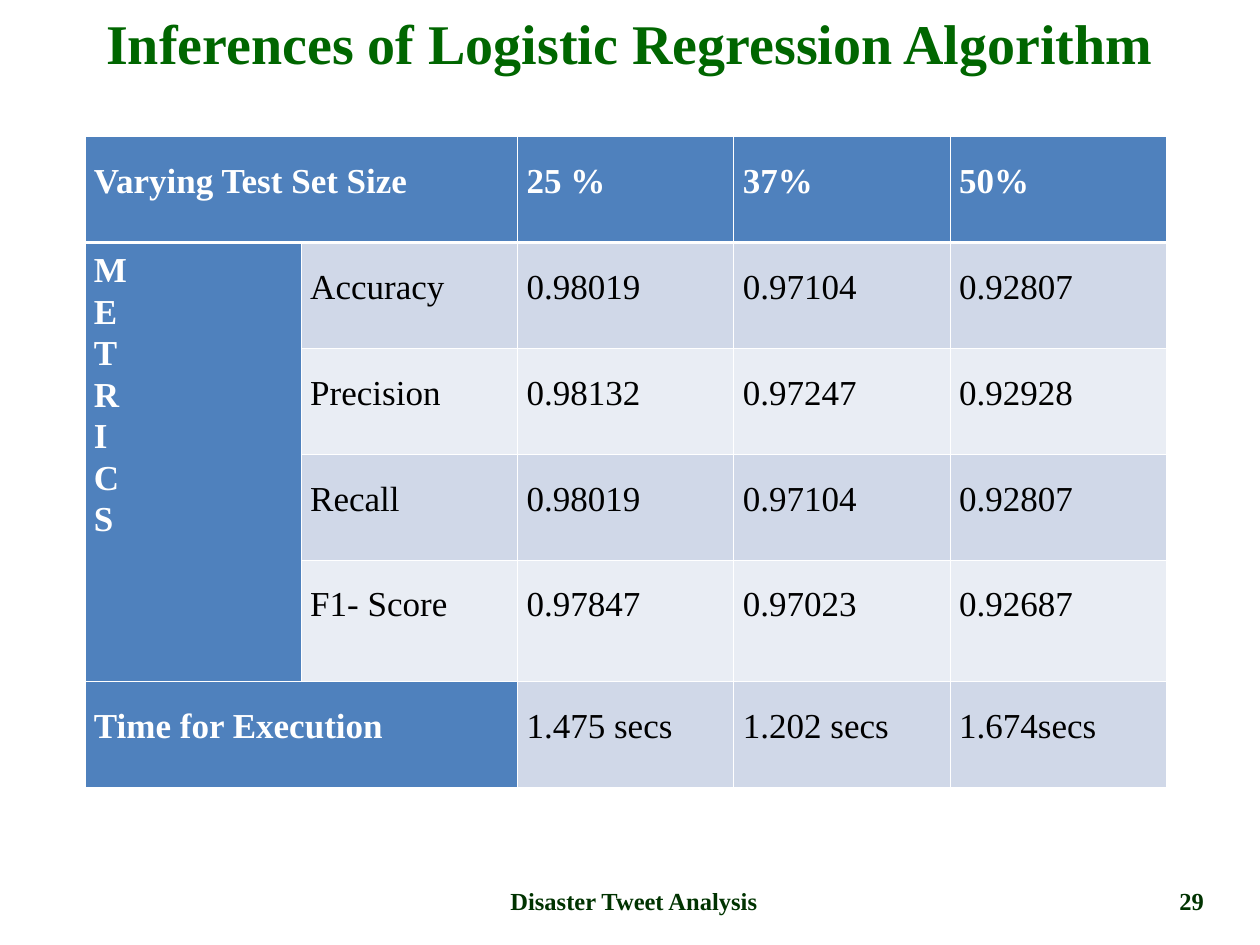
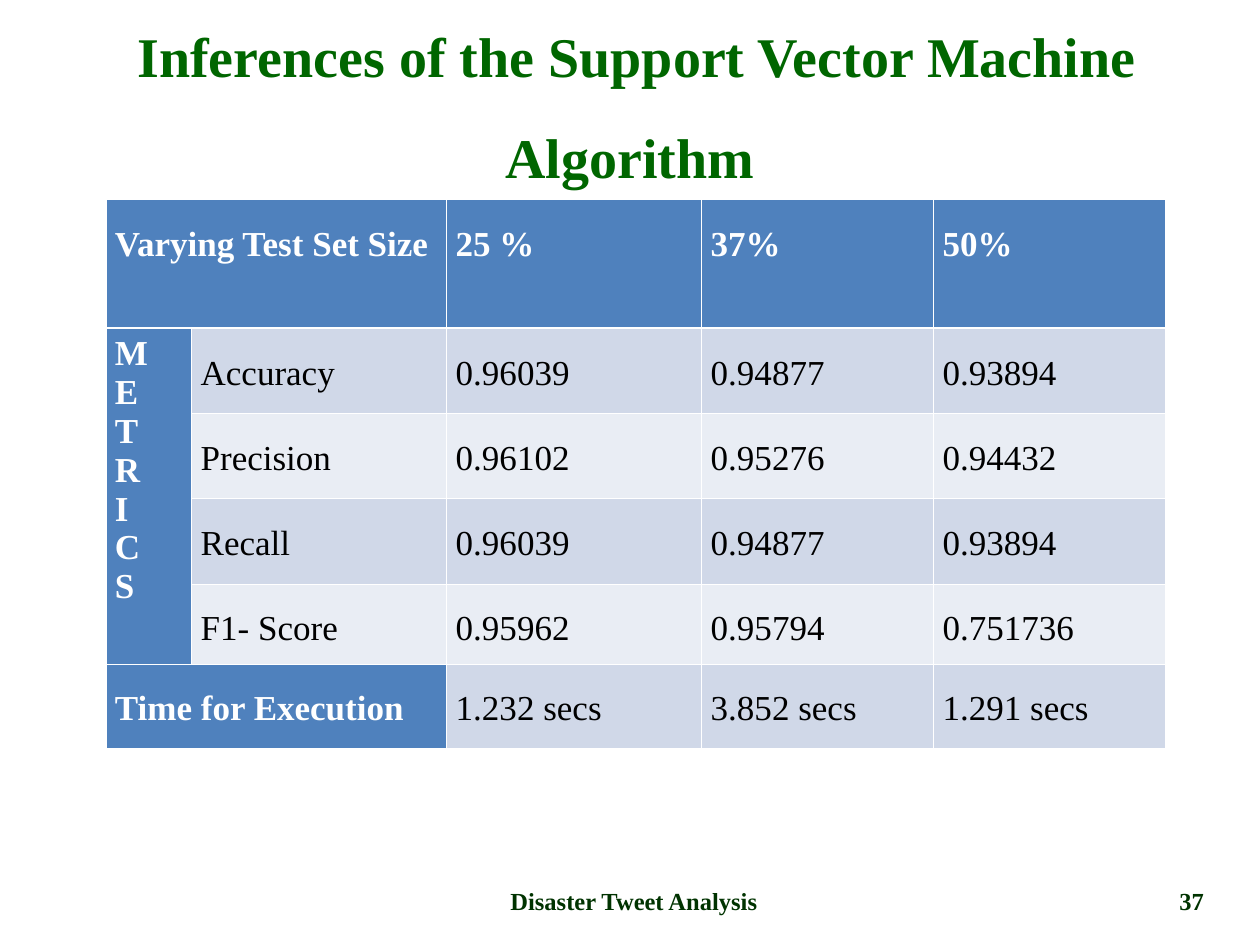
from lxml import etree
from pptx import Presentation
from pptx.dml.color import RGBColor
from pptx.enum.text import MSO_ANCHOR, PP_ALIGN
from pptx.oxml.ns import qn
from pptx.util import Pt

LEFT, CENTER = PP_ALIGN.LEFT, PP_ALIGN.CENTER
MIDDLE = MSO_ANCHOR.MIDDLE

FONT = "Times New Roman"
GREEN, DARK = "006600", "003300"
WHITE, BLACK = "FFFFFF", "000000"
BLUE, BAND, PALE = "4F81BD", "D0D8E8", "E9EDF4"
THIN, THICK = 0.45, 1.47
WIDTH, HEIGHT = 720, 540

HEAD = ["Varying Test Set Size", "", "25 %", "37%", "50%"]
LABELS = ["Accuracy", "Precision", "Recall", "F1- Score"]
SIDE = "\n".join("METRICS")
FOOT = "Time for Execution"


def color(code):
    return RGBColor.from_string(code)


def put(frame, text, size=20, ink=BLACK, bold=False, align=LEFT,
        space=None, after=None):
    """Write one paragraph for each line of the text."""
    for i, line in enumerate(text.split("\n")):
        para = frame.paragraphs[0] if i == 0 else frame.add_paragraph()
        para.alignment = align
        if space is not None:
            para.line_spacing = space
        if after is not None:
            para.space_after = Pt(after)
        run = para.add_run()
        run.text = line
        font = run.font
        font.name, font.size, font.bold = FONT, Pt(size), bold
        font.color.rgb = color(ink)


def add_label(slide, box, text, pad=(0, 0), **style):
    frame = slide.shapes.add_textbox(*map(Pt, box)).text_frame
    frame.word_wrap = True
    frame.vertical_anchor = MIDDLE
    frame.margin_left = frame.margin_right = Pt(pad[0])
    frame.margin_top = frame.margin_bottom = Pt(pad[1])
    put(frame, text, align=CENTER, **style)


def add_title(slide, text, height, **style):
    add_label(slide, (0, 0, WIDTH, height), text,
              size=32, ink=GREEN, bold=True, **style)


def add_footer(slide, number):
    for left, width, text in ((91.5, 541.5, "Disaster Tweet Analysis"),
                              (648, 66, number)):
        add_label(slide, (left, 500.5, width, 28.5), text, pad=(7.2, 3.6),
                  size=14, ink=DARK, bold=True)


def add_edges(cell, **widths):
    props = cell._tc.get_or_add_tcPr()
    for side in "LRTB":
        line = etree.SubElement(props, qn(f"a:ln{side}"),
                                w=str(Pt(widths.get(side, THIN))))
        fill = etree.SubElement(line, qn("a:solidFill"))
        etree.SubElement(fill, qn("a:srgbClr"), val=WHITE)


def add_scores(slide, left, top, cols, rows, scores, times, lead):
    """Table of scores by test set size; lead is the side label's spacing."""
    grid = [HEAD]
    grid += [[SIDE if i == 0 else "", name, *vals]
             for i, (name, vals) in enumerate(zip(LABELS, scores))]
    grid.append([FOOT, "", *times])
    last = len(grid) - 1

    box = map(Pt, (left, top, sum(cols), sum(rows)))
    table = slide.shapes.add_table(len(rows), len(cols), *box).table
    table.first_row = table.horz_banding = False
    for col, width in zip(table.columns, cols):
        col.width = Pt(width)
    for row, height in zip(table.rows, rows):
        row.height = Pt(height)

    # Cells: blue heads on three sides, banded body
    for r, line in enumerate(grid):
        for c, text in enumerate(line):
            cell = table.cell(r, c)
            head = r == 0 or c == 0 or (r == last and c == 1)
            cell.margin_left = cell.margin_right = Pt(5.2)
            cell.margin_top = cell.margin_bottom = Pt(3.6)
            add_edges(cell, T=THICK if r == 1 else THIN,
                      B=THICK if r == 0 else THIN)
            cell.fill.solid()
            cell.fill.fore_color.rgb = color(
                BLUE if head else BAND if r % 2 else PALE)
            if text:
                put(cell.text_frame, text, ink=WHITE if head else BLACK,
                    bold=head, space=lead if text == SIDE else 1.5)

    # Merged heads
    for r in (0, last):
        table.cell(r, 0).merge(table.cell(r, 1))
    table.cell(1, 0).merge(table.cell(last - 1, 0))


def add_logistic(slide):
    add_title(slide, "Inferences of Logistic Regression Algorithm", 48)
    add_scores(slide, 48.5, 78, [123.6] * 5, [60.5] * 4 + [69.5, 60.5],
               [["0.98019", "0.97104", "0.92807"],
                ["0.98132", "0.97247", "0.92928"],
                ["0.98019", "0.97104", "0.92807"],
                ["0.97847", "0.97023", "0.92687"]],
               ["1.475 secs", "1.202 secs", "1.674secs"], 1.07)
    add_footer(slide, "29")


def add_vector(slide):
    add_title(slide, " Inferences of the Support Vector Machine Algorithm",
              102, space=1.5, after=8)
    add_scores(slide, 60.5, 114, [49, 145.75, 145.75, 132.5, 132.5],
               [73.5, 48.75, 48.75, 48.75, 45.75, 48.5],
               [["0.96039", "0.94877", "0.93894"],
                ["0.96102", "0.95276", "0.94432"],
                ["0.96039", "0.94877", "0.93894"],
                ["0.95962", "0.95794", "0.751736"]],
               ["1.232 secs", "3.852 secs", "1.291 secs"], 1.0)
    add_footer(slide, "37")


def main():
    deck = Presentation()
    deck.slide_width, deck.slide_height = Pt(WIDTH), Pt(HEIGHT)
    blank = deck.slide_layouts[6]
    for build in (add_logistic, add_vector):
        build(deck.slides.add_slide(blank))
    deck.save("out.pptx")


if __name__ == "__main__":
    main()
